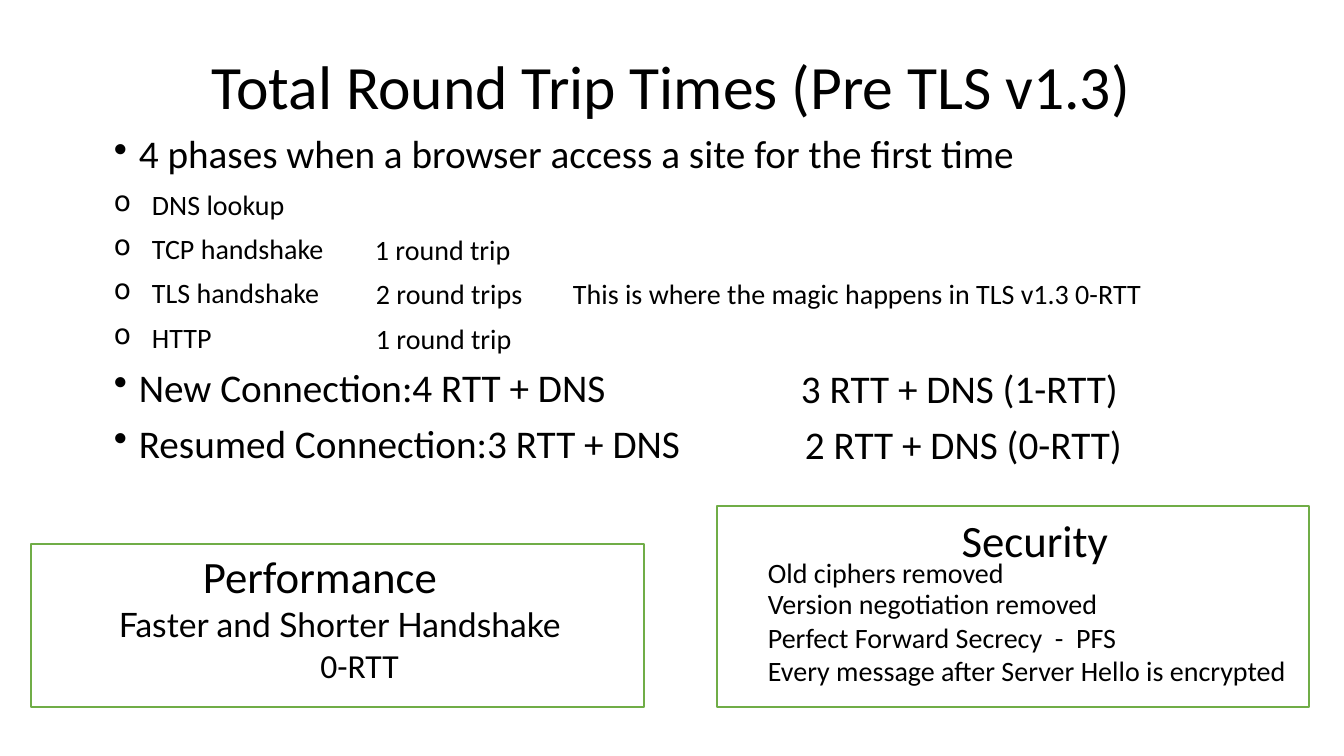
import pptx
import pptx.util
import pptx.dml.color
import pptx.enum.shapes
import pptx.enum.text
import pptx.oxml.ns
from lxml import etree

ALIGN = pptx.enum.text.PP_ALIGN
ANCHOR = pptx.enum.text.MSO_ANCHOR

# Content: lengths in px, 100.8 px to the inch
SLIDE = (1344, 756)
BLACK, WHITE, GREEN = "000000", "FFFFFF", "70AD47"

TITLE = ("Total Round Trip Times (Pre TLS v1.3)", (92, 30, 1159, 119))
BODY_BOX = (104, 130, 1159, 397)
LEVELS = {  # bullet, text size, indent
    "main": ("•", 28, 25),
    "sub": ("o", 20, 38),
}
# level, text, centre of the row, further columns as (left, text)
ROWS = [
    ("main", "4 phases when a browser access a site for the first time", 155, []),
    ("sub", "DNS lookup", 205, []),
    ("sub", "TCP handshake", 249, [(375, "1 round trip")]),
    ("sub", "TLS handshake", 293, [
        (376, "2 round trips"),
        (573, "This is where the magic happens in TLS v1.3 0-RTT")]),
    ("sub", "HTTP", 338, [(376, "1 round trip")]),
    ("main", "New Connection:4 RTT + DNS", 388, [(801, "3 RTT + DNS (1-RTT)")]),
    ("main", "Resumed Connection:3 RTT + DNS", 444, [(805, "2 RTT + DNS (0-RTT)")]),
]
COLUMN_HEIGHT = 48

# Each panel: frame, then lines as (text, box, size, font, alignment)
PANELS = [
    ((31, 544, 613, 163), [
        ("Performance", (105, 544, 430, 65), 32, "Calibri", ALIGN.CENTER),
        ("Faster and Shorter Handshake", (109, 599, 488, 50), 24, "Lato", ALIGN.LEFT),
        ("0-RTT", (105, 640, 509, 50), 24, "Calibri", ALIGN.CENTER),
    ]),
    ((717, 506, 592, 201), [
        ("Security", (793, 508, 484, 65), 32, "Calibri", ALIGN.CENTER),
    ] + [
        (text, (758, top, 570, 44), 20, "Calibri", ALIGN.LEFT)
        for text, top in [
            ("Old ciphers removed", 551),
            ("Version negotiation removed", 582),
            ("Perfect Forward Secrecy  -  PFS", 616),
            ("Every message after Server Hello is encrypted", 649),
        ]
    ]),
]


def px(length):
    return round(length * 914400 / 100.8)


def color(value):
    return pptx.dml.color.RGBColor.from_string(value)


def set_all(target, values):
    for name, value in values.items():
        setattr(target, name, value)


def add_box(page, place, **frame_format):
    box = page.shapes.add_textbox(*map(px, place))
    set_all(box.text_frame, {"word_wrap": True, **frame_format})
    return box.text_frame


def write(para, text, size, font="Calibri", **para_format):
    set_all(para, para_format)
    span = para.add_run()
    span.text = text
    set_all(span.font, {"size": pptx.util.Pt(size), "name": font})
    span.font.color.rgb = color(BLACK)


def add_bullet(para, mark, indent):
    props = para._p.get_or_add_pPr()
    props.set("marL", str(px(indent)))
    props.set("indent", str(-px(indent)))
    etree.SubElement(props, pptx.oxml.ns.qn("a:buChar")).set("char", mark)


deck = pptx.Presentation()
set_all(deck, {"slide_width": px(SLIDE[0]), "slide_height": px(SLIDE[1])})
page = deck.slides.add_slide(deck.slide_layouts[6])

# Title
text, place = TITLE
frame = add_box(page, place, vertical_anchor=ANCHOR.MIDDLE)
write(frame.paragraphs[0], text, 44, alignment=ALIGN.CENTER, line_spacing=0.9)

# Bullet list, with the further columns beside it
body = add_box(page, BODY_BOX)
for index, (level, text, centre, columns) in enumerate(ROWS):
    mark, size, indent = LEVELS[level]
    para = body.add_paragraph() if index else body.paragraphs[0]
    write(para, text, size, line_spacing=0.9, space_before=pptx.util.Pt(10))
    add_bullet(para, mark, indent)
    for left, column_text in columns:
        place = (left, centre - COLUMN_HEIGHT / 2, SLIDE[0] - left, COLUMN_HEIGHT)
        frame = add_box(page, place, vertical_anchor=ANCHOR.MIDDLE, margin_left=0,
                        margin_right=0, margin_top=0, margin_bottom=0)
        write(frame.paragraphs[0], column_text, size)

# Framed panels
for place, lines in PANELS:
    panel = page.shapes.add_shape(
        pptx.enum.shapes.MSO_SHAPE.RECTANGLE, *map(px, place))
    panel.shadow.inherit = False
    panel.fill.solid()
    panel.fill.fore_color.rgb = color(WHITE)
    panel.line.color.rgb = color(GREEN)
    panel.line.width = pptx.util.Pt(1)
    for text, line_place, size, font, alignment in lines:
        frame = add_box(page, line_place)
        write(frame.paragraphs[0], text, size, font, alignment=alignment)

deck.save("out.pptx")
